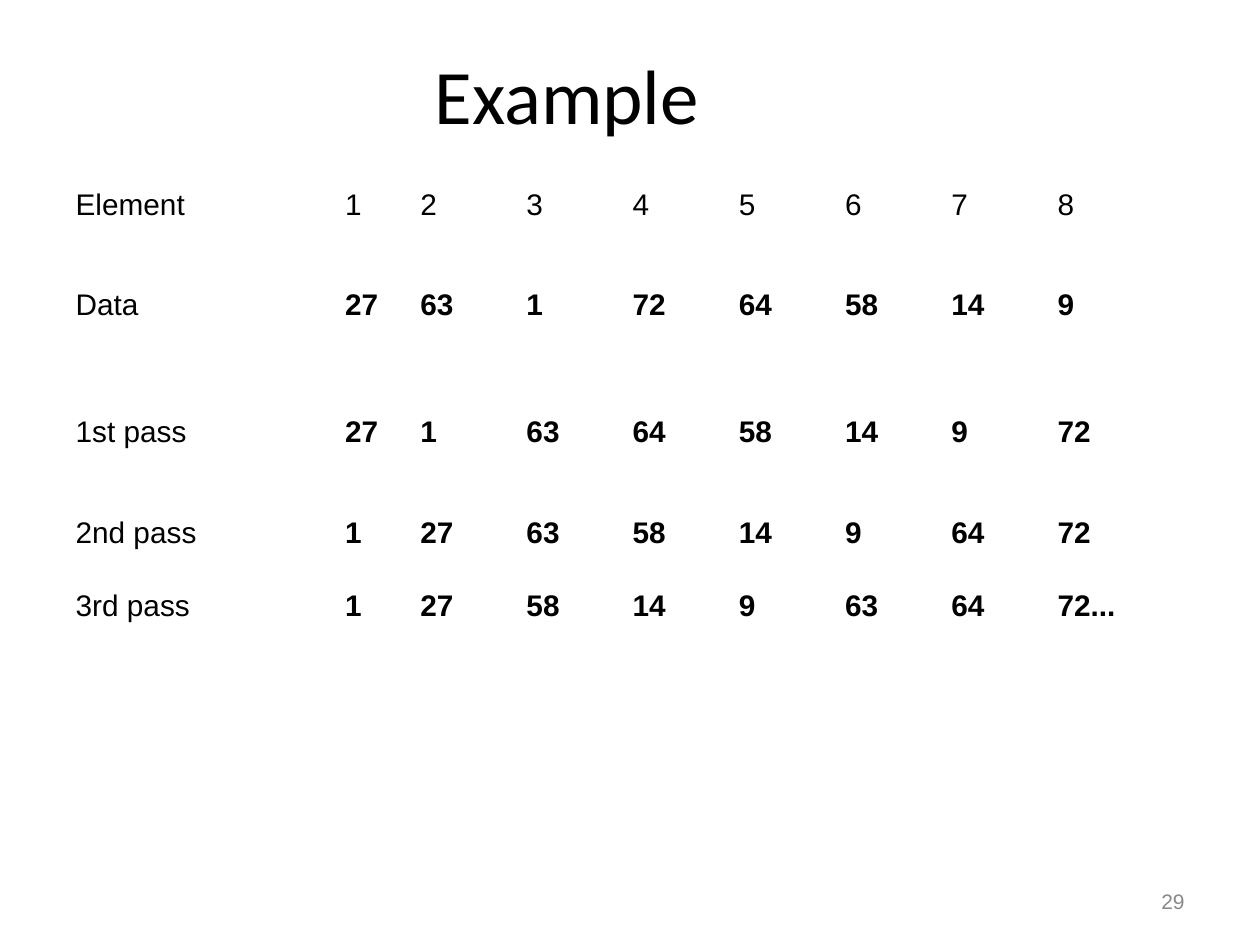
"""Builds a slide that traces the passes of a bubble sort in a table."""
from pptx import Presentation
from pptx.dml.color import RGBColor
from pptx.enum.text import MSO_ANCHOR as ANCHOR, PP_ALIGN as ALIGN
from pptx.util import Pt

BLACK = RGBColor(0x00, 0x00, 0x00)
GREY = RGBColor(0x89, 0x89, 0x89)

TITLE = "Example"
PAGE = "29"
ROWS = [
    ("Element", "1", "2", "3", "4", "5", "6", "7", "8"),
    ("Data", "27", "63", "1", "72", "64", "58", "14", "9"),
    ("1st pass", "27", "1", "63", "64", "58", "14", "9", "72"),
    ("2nd pass", "1", "27", "63", "58", "14", "9", "64", "72"),
    ("3rd pass", "1", "27", "58", "14", "9", "63", "64", "72..."),
]
COL_WIDTHS = [154, 43] + [60.7] * 6 + [86.8]
ROW_HEIGHTS = [41.9, 72.8, 72.8, 41.9, 41.9]


def write(tf, text, size=17, font="Arial", color=BLACK, bold=False, align=ALIGN.LEFT):
    p = tf.paragraphs[0]
    p.alignment = align
    r = p.add_run()
    r.text = text
    r.font.size = Pt(size)
    r.font.name = font
    r.font.bold = bold
    r.font.color.rgb = color


def add_text(s, box, text, inset=(0, 0), **fmt):
    tf = s.shapes.add_textbox(*map(Pt, box)).text_frame
    tf.word_wrap = True
    tf.vertical_anchor = ANCHOR.MIDDLE
    tf.margin_left = tf.margin_right = Pt(inset[0])
    tf.margin_top = tf.margin_bottom = Pt(inset[1])
    write(tf, text, **fmt)


def add_passes(s, left, top):
    size = map(Pt, (left, top, sum(COL_WIDTHS), sum(ROW_HEIGHTS)))
    table = s.shapes.add_table(len(ROWS), len(COL_WIDTHS), *size).table
    table.first_row = table.horz_banding = False
    for col, width in zip(table.columns, COL_WIDTHS):
        col.width = Pt(width)
    for i, (row, height) in enumerate(zip(table.rows, ROW_HEIGHTS)):
        row.height = Pt(height)
        for j, cell in enumerate(row.cells):
            cell.fill.background()
            cell.vertical_anchor = ANCHOR.MIDDLE
            write(cell.text_frame, ROWS[i][j], bold=i > 0 and j > 0)


def main():
    prs = Presentation()
    prs.slide_width, prs.slide_height = Pt(720), Pt(540)
    s = prs.slides.add_slide(prs.slide_layouts[6])
    add_text(s, (516, 500.5, 168, 28.8), PAGE, inset=(7.2, 3.6),
             size=12, color=GREY, align=ALIGN.RIGHT)
    add_text(s, (0, 30, 648, 47.5), TITLE, size=44, font="Calibri", align=ALIGN.CENTER)
    add_passes(s, 36, 96)
    prs.save("out.pptx")


if __name__ == "__main__":
    main()
